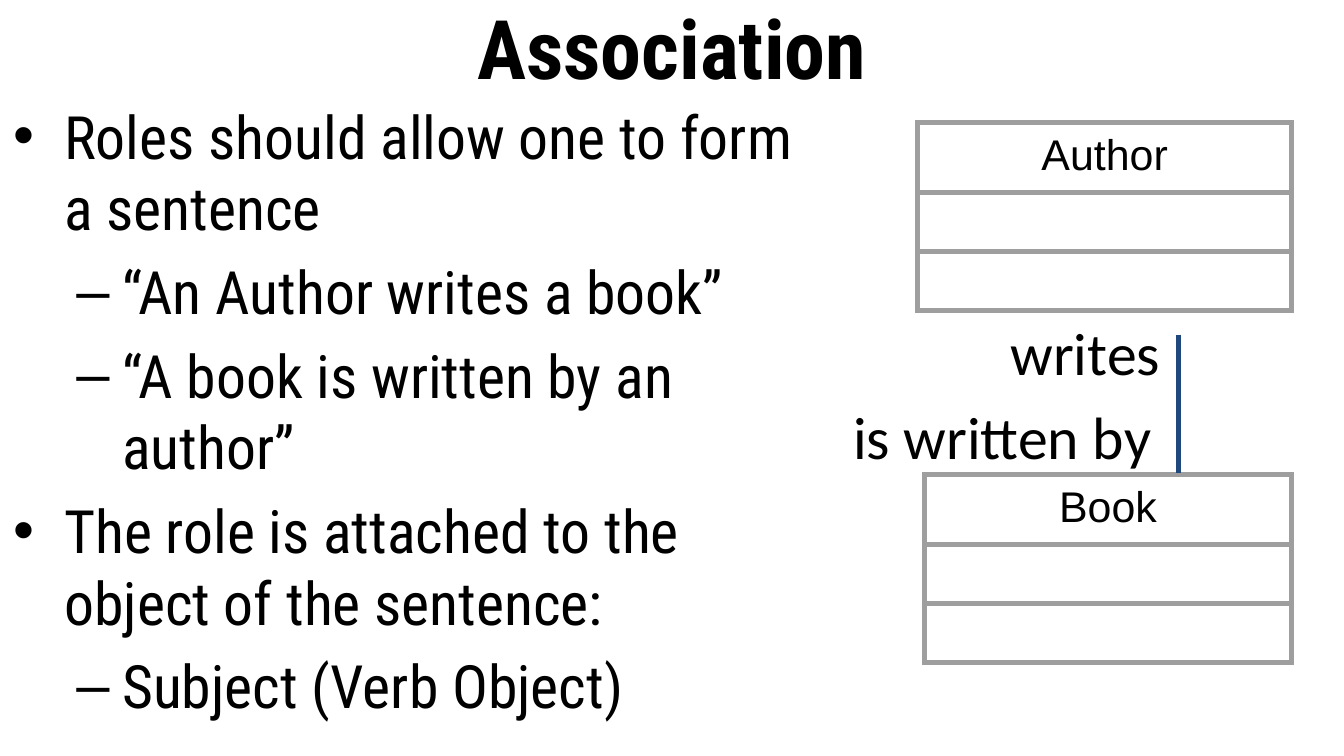
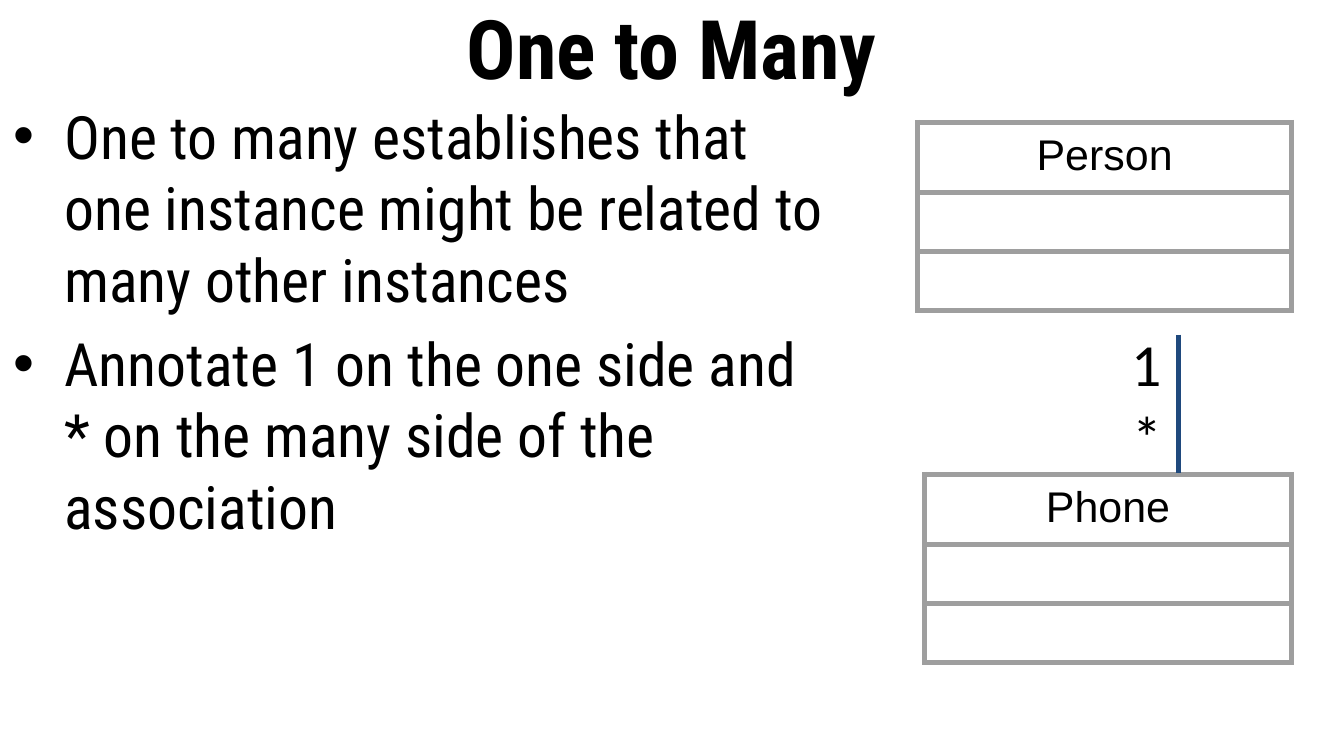
from lxml.etree import SubElement
from pptx import Presentation
from pptx.dml.color import RGBColor
from pptx.enum.shapes import MSO_CONNECTOR as Connector
from pptx.enum.text import MSO_ANCHOR as Anchor, PP_ALIGN as Align
from pptx.oxml.ns import qn
from pptx.util import Inches, Pt

# Content: bullets are (level, text), roles are (text, left, top, width)
SLIDES = [
    {
        "title": "Association",
        "bullets": [
            (0, "Roles should allow one to form a sentence"),
            (1, "“An Author writes a book”"),
            (1, "“A book is written by an author”"),
            (0, "The role is attached to the object of the sentence:"),
            (1, "Subject (Verb Object)"),
        ],
        "classes": ("Author", "Book"),
        "roles": [("writes", 7.42, 2.34, 1.51), ("is written by", 6.25, 2.96, 2.52)],
    },
    {
        "title": "One to Many",
        "bullets": [
            (0, "One to many establishes that one instance might be related to "
                "many other instances"),
            (0, "Annotate 1 on the one side and * on the many side of the association"),
        ],
        "classes": ("Person", "Phone"),
        "roles": [("1", 8.32, 2.42, 1.41), ("*", 8.33, 2.96, 1.62)],
    },
]

# Shared style
BLACK = RGBColor(0x00, 0x00, 0x00)
WHITE = RGBColor(0xFF, 0xFF, 0xFF)
GREY = RGBColor(0x9E, 0x9E, 0x9E)
NAVY = RGBColor(0x1F, 0x49, 0x7D)
TEXT_FONT, CLASS_FONT, ROLE_FONT = "Roboto Condensed", "Arial", "Calibri"
LEVELS = [("•", 0.38, -0.38), ("–", 0.81, -0.34)]  # mark, margin, indent
BORDER = Pt(3)

# Shared layout, on a 16:9 page
SLIDE_WIDTH = 10
SLIDE_HEIGHT = SLIDE_WIDTH * 9 / 16
TITLE_HEIGHT = 0.69
BODY_WIDTH = 6.25
CLASS_PLACES = [(6.83, 0.91, 2.78), (6.88, 3.53, 2.73)]  # left, top, width
CLASS_FRAME = Inches(3.28)
CLASS_ROWS, ROW_HEIGHT = 3, 0.31
LINK_X, LINK_TOP, LINK_BOTTOM = 8.77, 2.49, 3.52
ROLE_HEIGHT = 0.56


def style(para, font_name, size, bold=False):
    for span in para.runs:
        span.font.name = font_name
        span.font.size = Pt(size)
        span.font.bold = bold
        span.font.color.rgb = BLACK


def add_box(page, left, top, width, height, inset, anchor):
    box = page.shapes.add_textbox(*map(Inches, (left, top, width, height)))
    frame = box.text_frame
    frame.word_wrap = True
    frame.vertical_anchor = anchor
    frame.margin_left = frame.margin_right = Inches(0.1)
    frame.margin_top = frame.margin_bottom = Inches(inset)
    return frame


def add_title(page, text):
    frame = add_box(page, 0, 0, SLIDE_WIDTH, TITLE_HEIGHT, 0.05, Anchor.MIDDLE)
    frame.text = text
    para = frame.paragraphs[0]
    para.alignment = Align.CENTER
    style(para, TEXT_FONT, 44, bold=True)


def add_bullet(para, level):
    mark, margin, indent = LEVELS[level]
    para.level = level
    props = para._p.get_or_add_pPr()
    props.set("marL", str(Inches(margin)))
    props.set("indent", str(Inches(indent)))
    color = SubElement(props, qn("a:buClr"))
    SubElement(color, qn("a:srgbClr"), val=str(BLACK))
    SubElement(props, qn("a:buFont"), typeface="Arial")
    SubElement(props, qn("a:buChar"), char=mark)


def add_body(page, bullets):
    frame = add_box(page, 0, TITLE_HEIGHT, BODY_WIDTH,
                    SLIDE_HEIGHT - TITLE_HEIGHT, 0.05, Anchor.TOP)
    for index, (level, text) in enumerate(bullets):
        para = frame.add_paragraph() if index else frame.paragraphs[0]
        para.text = text
        add_bullet(para, level)
        if index:
            para.space_before = Pt(6.4)
        style(para, TEXT_FONT, 32)


def add_borders(cell):
    props = cell._tc.get_or_add_tcPr()
    for side in ("a:lnL", "a:lnR", "a:lnT", "a:lnB"):
        line = SubElement(props, qn(side), w=str(BORDER))
        fill = SubElement(line, qn("a:solidFill"))
        SubElement(fill, qn("a:srgbClr"), val=str(GREY))


def add_class(page, name, left, top, width):
    """Class box: name row above empty attribute and operation rows."""
    holder = page.shapes.add_table(CLASS_ROWS, 1, Inches(left), Inches(top),
                                   CLASS_FRAME, CLASS_FRAME)
    table = holder.table
    table.first_row = table.horz_banding = False
    table.columns[0].width = Inches(width)
    for index, row in enumerate(table.rows):
        row.height = Inches(ROW_HEIGHT)
        cell = row.cells[0]
        cell.margin_left = cell.margin_right = Inches(0.1)
        cell.margin_top = cell.margin_bottom = Inches(0.07)
        add_borders(cell)
        cell.fill.solid()
        cell.fill.fore_color.rgb = WHITE
        para = cell.text_frame.paragraphs[0]
        if index == 0:
            para.text = name
            para.alignment = Align.CENTER
            style(para, CLASS_FONT, 23)
        else:
            # The font of an empty row decides its height
            end = SubElement(para._p, qn("a:endParaRPr"), sz="1800")
            SubElement(end, qn("a:latin"), typeface=CLASS_FONT)
    # Row and column sizes reset the frame, so it is set last
    holder.width = holder.height = CLASS_FRAME


def add_link(page):
    link = page.shapes.add_connector(
        Connector.STRAIGHT, Inches(LINK_X), Inches(LINK_TOP),
        Inches(LINK_X), Inches(LINK_BOTTOM))
    link.line.color.rgb = NAVY
    link.line.width = BORDER
    SubElement(link._element.spPr, qn("a:effectLst"))


def add_role(page, text, left, top, width):
    frame = add_box(page, left, top, width, ROLE_HEIGHT, 0.1, Anchor.MIDDLE)
    frame.text = text
    style(frame.paragraphs[0], ROLE_FONT, 32)


def main():
    deck = Presentation()
    deck.slide_width = Inches(SLIDE_WIDTH)
    deck.slide_height = Inches(SLIDE_HEIGHT)
    for content in SLIDES:
        page = deck.slides.add_slide(deck.slide_layouts[6])
        add_title(page, content["title"])
        add_body(page, content["bullets"])
        for name, place in zip(content["classes"], CLASS_PLACES):
            add_class(page, name, *place)
        add_link(page)
        for role in content["roles"]:
            add_role(page, *role)
    deck.save("out.pptx")


if __name__ == "__main__":
    main()
